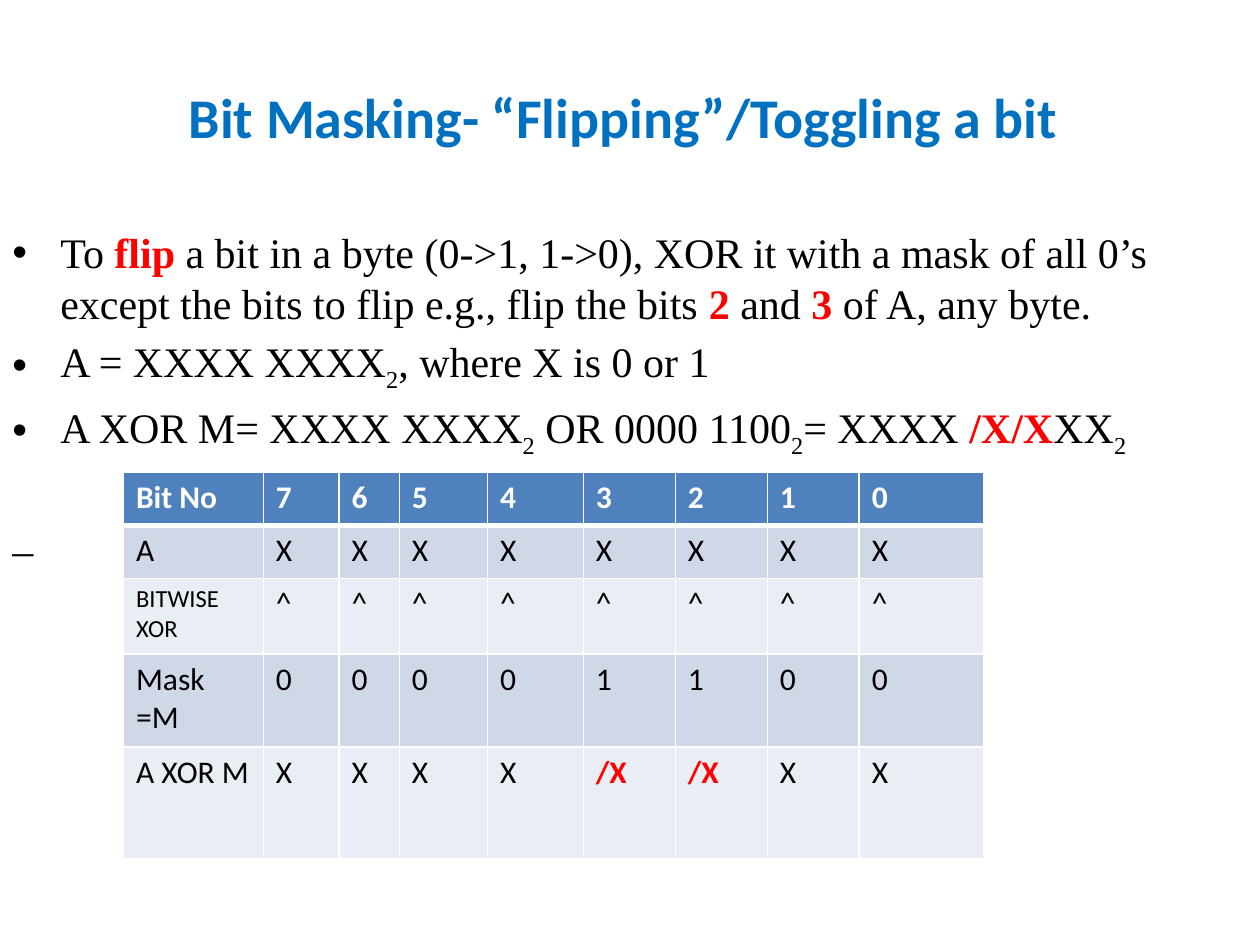
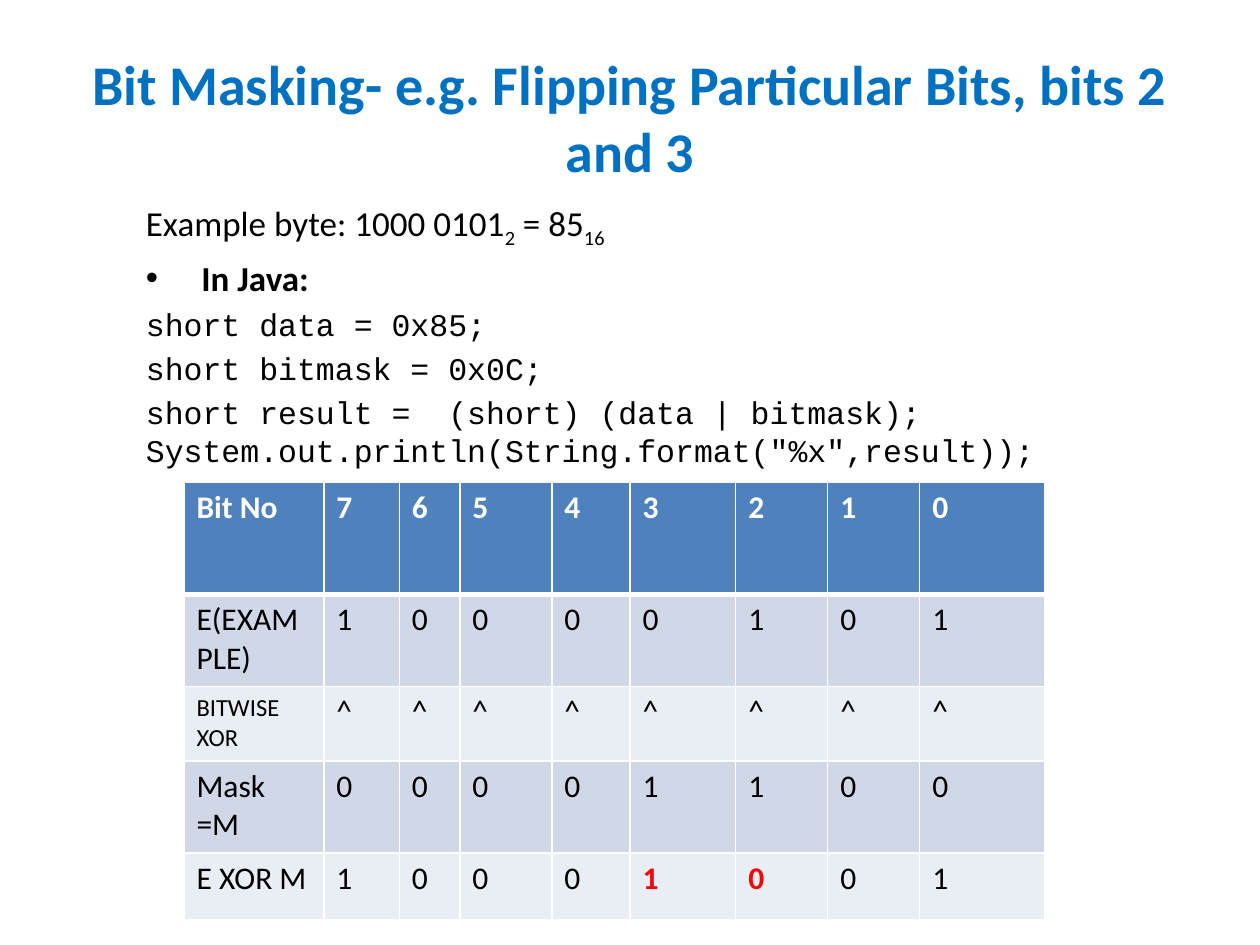
from dataclasses import dataclass, replace
from typing import Optional, Union

from lxml.etree import SubElement
from pptx import Presentation
from pptx.dml.color import RGBColor
from pptx.enum.text import MSO_ANCHOR, MSO_AUTO_SIZE, PP_ALIGN
from pptx.oxml import parse_xml
from pptx.oxml.ns import nsdecls, qn
from pptx.util import Emu, Inches, Pt

# The slide is a grid of 100 columns by 75 rows
SLIDE_WIDTH, SLIDE_HEIGHT = Inches(10), Inches(7.5)
GRID_COLUMNS, GRID_ROWS = 100, 75


def columns(count: float) -> Emu:
    return Emu(round(SLIDE_WIDTH * count / GRID_COLUMNS))


def rows(count: float) -> Emu:
    return Emu(round(SLIDE_HEIGHT * count / GRID_ROWS))


# Theme
@dataclass(frozen=True)
class TextStyle:
    font: str
    size: int
    color: str = "000000"
    bold: bool = False


@dataclass(frozen=True)
class Theme:
    title: TextStyle = TextStyle("Calibri", 32, "0070C0", True)
    prose: TextStyle = TextStyle("Times New Roman", 24)
    example: TextStyle = TextStyle("Calibri", 20)
    code: TextStyle = TextStyle("Courier New", 18)
    cell: TextStyle = TextStyle("Calibri", 18)
    header: TextStyle = TextStyle("Calibri", 18, "FFFFFF", True)
    operator_size: int = 14
    accent: str = "FF0000"
    header_fill: str = "4F81BD"
    band_fills: tuple[str, str] = ("D0D8E8", "E9EDF4")
    border: str = "FFFFFF"
    thin_border: int = 1
    thick_border: int = 3
    space_before: float = 0.2


THEME = Theme()


# Content
@dataclass(frozen=True)
class Run:
    text: str
    accent: bool = False
    subscript: bool = False


Text = Union[str, Run]


def accent(text: str) -> Run:
    return Run(text, accent=True)


def sub(text: str) -> Run:
    return Run(text, subscript=True)


@dataclass(frozen=True)
class Line:
    wording: tuple[Text, ...]
    style: TextStyle
    bullet_indent: float = 0  # in grid columns
    space_before: Optional[float] = None  # in points


@dataclass(frozen=True)
class Area:
    left: float
    top: float
    width: float
    height: float

    def box(self) -> tuple[Emu, Emu, Emu, Emu]:
        return columns(self.left), rows(self.top), columns(self.width), rows(self.height)


@dataclass(frozen=True)
class BitTable:
    left: float
    top: float
    column_widths: tuple[float, ...]
    row_heights: tuple[float, ...]
    operand: str
    operand_bits: str
    result: str
    result_bits: tuple[Text, ...]

    def content(self) -> list[tuple[Text, ...]]:
        return [
            ("Bit No", *"76543210"),
            (self.operand, *self.operand_bits),
            ("BITWISE XOR", *"^" * 8),
            ("Mask =M", *"00001100"),
            (self.result, *self.result_bits),
        ]


@dataclass(frozen=True)
class MaskSlide:
    title: str
    body_area: Area
    lines: tuple[Line, ...]
    table: BitTable


TITLE_AREA = Area(5, 3, 90, 12.5)
OPERATOR_ROW = 2

SLIDES = (
    MaskSlide(
        "Bit Masking- “Flipping”/Toggling a bit ",
        Area(0, 17.5, 98.8, 49.5),
        (
            Line(("To ", accent("flip"),
                  " a bit in a byte (0->1, 1->0), XOR it with a mask of all 0’s "
                  "except the bits to flip e.g., flip the bits ",
                  accent("2 "), "and ", accent("3"), " of A, any byte."),
                 THEME.prose, 3.8),
            Line(("A = XXXX XXXX", sub("2"), ", where X is 0 or 1"), THEME.prose, 3.8),
            Line(("A XOR M= XXXX XXXX", sub("2"), " OR 0000 1100", sub("2"),
                  "= XXXX ", accent("/X/X"), "XX", sub("2")), THEME.prose, 3.8),
            Line(("–",), THEME.prose, space_before=37),
        ),
        BitTable(9.8, 37.5, (11.1, 6, 4.8, 7, 7.6, 7.3, 7.3, 7.3, 9.9),
                 (4.2, 4.2, 6, 7.4, 8.9), "A", "XXXXXXXX", "A XOR M",
                 (*"XXXX", accent("/X"), accent("/X"), *"XX")),
    ),
    MaskSlide(
        "Bit Masking- e.g. Flipping Particular Bits, bits 2 and 3",
        Area(10.6, 15.5, 106.3, 56.5),
        (
            Line(("Example byte: 1000 0101", sub("2"), " = 85", sub("16")), THEME.example),
            Line(("In Java:",), replace(THEME.example, bold=True), 4.4),
            Line(("short data = 0x85;",), THEME.code),
            Line(("short bitmask = 0x0C;",), THEME.code),
            Line(("short result =  (short) (data | bitmask);",), THEME.code),
            Line(('System.out.println(String.format("%x",result));',), THEME.code,
                 space_before=0),
        ),
        BitTable(14.6, 38.3, (11.1, 6, 4.8, 7.3, 6.2, 8.4, 7.3, 7.3, 9.9),
                 (8.9, 7.3, 5.9, 7.3, 5.3), "E(EXAMPLE)", "10000101", "E XOR M",
                 (*"1000", accent("1"), accent("0"), *"01")),
    ),
)


# Text
def write(paragraph, wording: tuple[Text, ...], style: TextStyle) -> None:
    paragraph.font.name = style.font
    paragraph.font.size = Pt(style.size)
    paragraph.font.bold = style.bold
    paragraph.font.color.rgb = RGBColor.from_string(style.color)
    for piece in wording:
        piece = Run(piece) if isinstance(piece, str) else piece
        run = paragraph.add_run()
        run.text = piece.text
        if piece.accent:
            run.font.bold = True
            run.font.color.rgb = RGBColor.from_string(THEME.accent)
        if piece.subscript:
            run._r.get_or_add_rPr().set("baseline", "-25000")


def add_bullet(paragraph, indent: float) -> None:
    properties = paragraph._p.get_or_add_pPr()
    properties.set("marL", str(columns(indent)))
    properties.set("indent", str(-columns(indent)))
    SubElement(properties, qn("a:buFont")).set("typeface", "Arial")
    SubElement(properties, qn("a:buChar")).set("char", "•")


def add_title(slide, title: str) -> None:
    placeholder = slide.shapes.title
    placeholder.left, placeholder.top, placeholder.width, placeholder.height = TITLE_AREA.box()
    frame = placeholder.text_frame
    frame.auto_size = MSO_AUTO_SIZE.NONE
    frame.vertical_anchor = MSO_ANCHOR.MIDDLE
    frame.paragraphs[0].alignment = PP_ALIGN.CENTER
    write(frame.paragraphs[0], (title,), THEME.title)


def add_body(slide, area: Area, lines: tuple[Line, ...]) -> None:
    frame = slide.shapes.add_textbox(*area.box()).text_frame
    frame.word_wrap = True
    for index, line in enumerate(lines):
        paragraph = frame.add_paragraph() if index else frame.paragraphs[0]
        if line.bullet_indent:
            add_bullet(paragraph, line.bullet_indent)
        if index:
            gap = line.space_before
            paragraph.space_before = Pt(
                line.style.size * THEME.space_before if gap is None else gap)
        write(paragraph, line.wording, line.style)


# Table
def set_borders(cell, row_index: int) -> None:
    thick_side = {0: "B", 1: "T"}.get(row_index)
    properties = cell._tc.get_or_add_tcPr()
    for position, side in enumerate("LRTB"):
        width = THEME.thick_border if side == thick_side else THEME.thin_border
        properties.insert(position, parse_xml(
            f'<a:ln{side} {nsdecls("a")} w="{Pt(width)}"><a:solidFill>'
            f'<a:srgbClr val="{THEME.border}"/></a:solidFill></a:ln{side}>'))


def cell_style(row_index: int, column_index: int) -> TextStyle:
    if row_index == 0:
        return THEME.header
    if (row_index, column_index) == (OPERATOR_ROW, 0):
        return replace(THEME.cell, size=THEME.operator_size)
    return THEME.cell


def add_bit_table(slide, bits: BitTable) -> None:
    area = Area(bits.left, bits.top, sum(bits.column_widths), sum(bits.row_heights))
    table = slide.shapes.add_table(
        len(bits.row_heights), len(bits.column_widths), *area.box()).table
    for column, width in zip(table.columns, bits.column_widths):
        column.width = columns(width)
    for row, height in zip(table.rows, bits.row_heights):
        row.height = rows(height)
    for row_index, values in enumerate(bits.content()):
        fill = THEME.band_fills[(row_index - 1) % 2] if row_index else THEME.header_fill
        for column_index, value in enumerate(values):
            cell = table.cell(row_index, column_index)
            cell.fill.solid()
            cell.fill.fore_color.rgb = RGBColor.from_string(fill)
            set_borders(cell, row_index)
            write(cell.text_frame.paragraphs[0], (value,),
                  cell_style(row_index, column_index))


def main() -> None:
    deck = Presentation()
    deck.slide_width, deck.slide_height = SLIDE_WIDTH, SLIDE_HEIGHT
    title_only = deck.slide_layouts.get_by_name("Title Only")
    for content in SLIDES:
        slide = deck.slides.add_slide(title_only)
        add_title(slide, content.title)
        add_body(slide, content.body_area, content.lines)
        add_bit_table(slide, content.table)
    deck.save("out.pptx")


if __name__ == "__main__":
    main()
